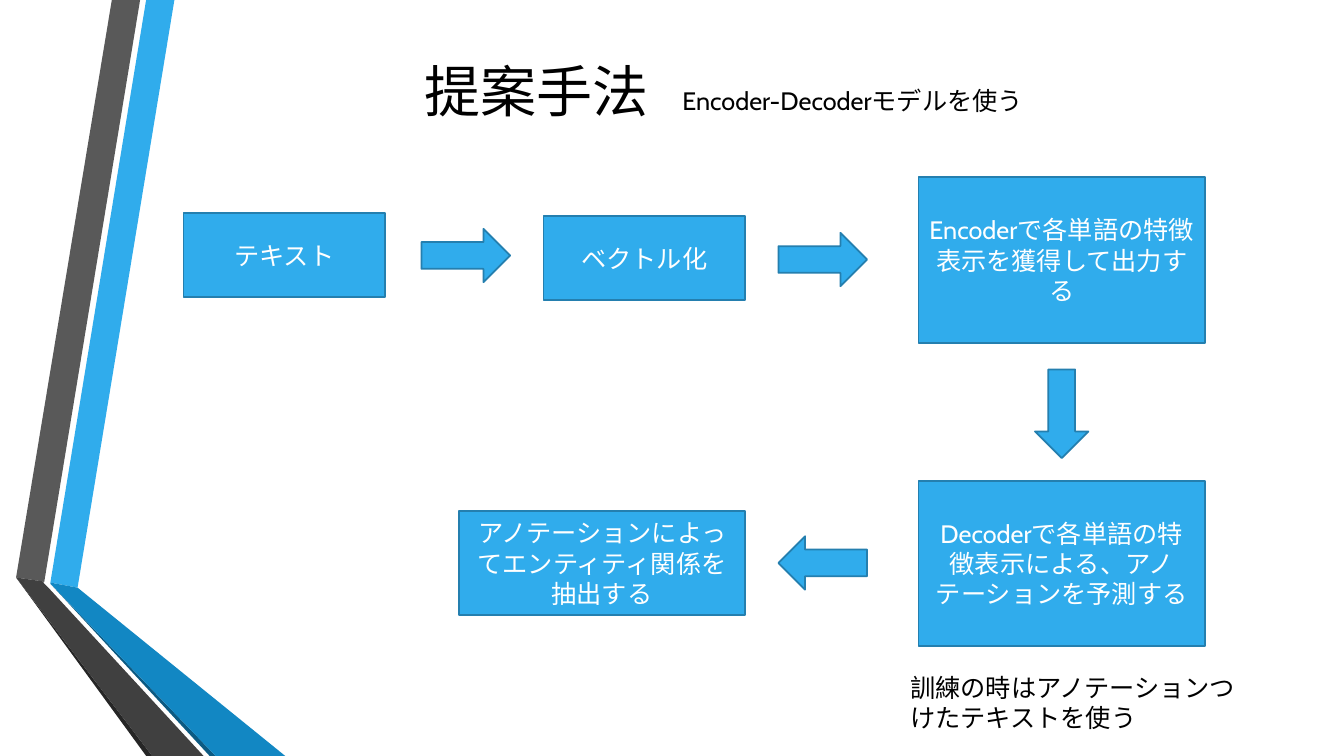
from dataclasses import dataclass

from pptx import Presentation
from pptx.dml.color import RGBColor
from pptx.enum.shapes import MSO_SHAPE
from pptx.enum.text import MSO_ANCHOR, PP_ALIGN
from pptx.shapes.autoshape import Shape
from pptx.slide import Slide
from pptx.util import Inches, Pt


@dataclass(frozen=True)
class Theme:
    font: str = "Cabin"
    title_size: int = 40
    body_size: int = 18
    outline_width: float = 1.25
    text: str = "000000"
    box_text: str = "FFFFFF"
    blue: str = "30ACEC"
    outline: str = "247FAF"
    blue_fold: str = "1287C3"
    blue_shade: str = "0C5A82"
    gray: str = "595959"
    gray_fold: str = "404040"
    gray_shade: str = "262626"


@dataclass(frozen=True)
class Ribbon:
    color: str
    points: tuple[tuple[float, float], ...]


@dataclass(frozen=True)
class Step:
    text: str
    left: float
    top: float
    width: float
    height: float


@dataclass(frozen=True)
class Arrow:
    left: float
    top: float
    kind: MSO_SHAPE = MSO_SHAPE.RIGHT_ARROW
    rotation: int = 0


@dataclass(frozen=True)
class Label:
    text: str
    left: float
    top: float
    width: float
    height: float
    size: int
    alignment: PP_ALIGN = PP_ALIGN.LEFT
    anchor: MSO_ANCHOR = MSO_ANCHOR.TOP


THEME = Theme()
ARROW_WIDTH, ARROW_HEIGHT = 0.88, 0.53
SMALL_WIDTH, SMALL_HEIGHT = 2, 0.84
LARGE_WIDTH, LARGE_HEIGHT = 2.84, 1.64
CODER_LEFT = 9.11
ARROW_LEFT = 7.72

RIBBONS = (
    Ribbon(THEME.blue, ((0.5, 5.78), (0.77, 5.83), (1.73, 0), (1.45, 0))),
    Ribbon(THEME.gray, ((1.39, 0), (1.11, 0), (0.16, 5.73), (0.44, 5.77))),
    Ribbon(THEME.gray_shade, ((0.16, 5.73), (1.45, 7.5), (1.51, 7.5))),
    Ribbon(THEME.blue_shade, ((0.5, 5.79), (2.08, 7.5), (2.14, 7.5))),
    Ribbon(THEME.blue_fold, ((0.5, 5.79), (2.14, 7.5), (2.83, 7.5), (0.77, 5.83), (0.5, 5.78))),
    Ribbon(
        THEME.gray_fold,
        ((2.02, 7.5), (0.48, 5.83), (0.43, 5.78), (0.44, 5.77), (0.16, 5.73), (1.51, 7.5)),
    ),
)
STEPS = (
    Step("テキスト", 1.82, 2.11, SMALL_WIDTH, SMALL_HEIGHT),
    Step("ベクトル化", 5.39, 2.14, SMALL_WIDTH, SMALL_HEIGHT),
    Step("Encoderで各単語の特徴表示を獲得して出力する", CODER_LEFT, 1.76, LARGE_WIDTH, LARGE_HEIGHT),
    Step(
        "Decoderで各単語の特徴表示による、アノテーションを予測する",
        CODER_LEFT, 4.77, LARGE_WIDTH, LARGE_HEIGHT,
    ),
    Step("アノテーションによってエンティティ関係を抽出する", 4.55, 5.07, LARGE_WIDTH, 1.03),
)
ARROWS = (
    Arrow(4.18, 2.27),
    Arrow(ARROW_LEFT, 2.31),
    Arrow(10.09, 3.84, rotation=90),
    Arrow(ARROW_LEFT, 5.32, MSO_SHAPE.LEFT_ARROW),
)
LABELS = (
    Label(
        "提案手法", -0.16, -0.07, 10.96, 1.92,
        THEME.title_size, PP_ALIGN.CENTER, MSO_ANCHOR.MIDDLE,
    ),
    Label("訓練の時はアノテーションつけたテキストを使う", 8.93, 6.62, 3.45, 0.71, THEME.body_size),
    Label("Encoder-Decoderモデルを使う", 6.67, 0.8, 5.47, 0.4, THEME.body_size),
)


def write_text(
    shape: Shape, text: str, size: int, color: str, alignment: PP_ALIGN, anchor: MSO_ANCHOR
) -> None:
    text_frame = shape.text_frame
    text_frame.word_wrap = True
    text_frame.vertical_anchor = anchor
    text_frame.text = text
    paragraph = text_frame.paragraphs[0]
    paragraph.alignment = alignment
    font = paragraph.runs[0].font
    font.name = THEME.font
    font.size = Pt(size)
    font.color.rgb = RGBColor.from_string(color)


def fill_shape(shape: Shape, color: str) -> None:
    shape.shadow.inherit = False
    shape.fill.solid()
    shape.fill.fore_color.rgb = RGBColor.from_string(color)


def draw_ribbon(slide: Slide, ribbon: Ribbon) -> None:
    start, *others = [(Inches(x), Inches(y)) for x, y in ribbon.points]
    builder = slide.shapes.build_freeform(*start)
    builder.add_line_segments(others, close=True)
    shape = builder.convert_to_shape()
    fill_shape(shape, ribbon.color)
    shape.line.fill.background()


def draw_block(
    slide: Slide, kind: MSO_SHAPE, left: float, top: float, width: float, height: float
) -> Shape:
    shape = slide.shapes.add_shape(kind, Inches(left), Inches(top), Inches(width), Inches(height))
    fill_shape(shape, THEME.blue)
    shape.line.color.rgb = RGBColor.from_string(THEME.outline)
    shape.line.width = Pt(THEME.outline_width)
    return shape


def draw_step(slide: Slide, step: Step) -> None:
    shape = draw_block(slide, MSO_SHAPE.RECTANGLE, step.left, step.top, step.width, step.height)
    write_text(
        shape, step.text, THEME.body_size, THEME.box_text, PP_ALIGN.CENTER, MSO_ANCHOR.MIDDLE
    )


def draw_arrow(slide: Slide, arrow: Arrow) -> None:
    shape = draw_block(slide, arrow.kind, arrow.left, arrow.top, ARROW_WIDTH, ARROW_HEIGHT)
    shape.rotation = arrow.rotation


def draw_label(slide: Slide, label: Label) -> None:
    shape = slide.shapes.add_textbox(
        Inches(label.left), Inches(label.top), Inches(label.width), Inches(label.height)
    )
    write_text(shape, label.text, label.size, THEME.text, label.alignment, label.anchor)


def main() -> None:
    presentation = Presentation()
    presentation.slide_width = Inches(13.33)
    presentation.slide_height = Inches(7.5)
    slide = presentation.slides.add_slide(presentation.slide_layouts[6])
    for ribbon in RIBBONS:
        draw_ribbon(slide, ribbon)
    for step in STEPS:
        draw_step(slide, step)
    for arrow in ARROWS:
        draw_arrow(slide, arrow)
    for label in LABELS:
        draw_label(slide, label)
    presentation.save("out.pptx")


if __name__ == "__main__":
    main()
